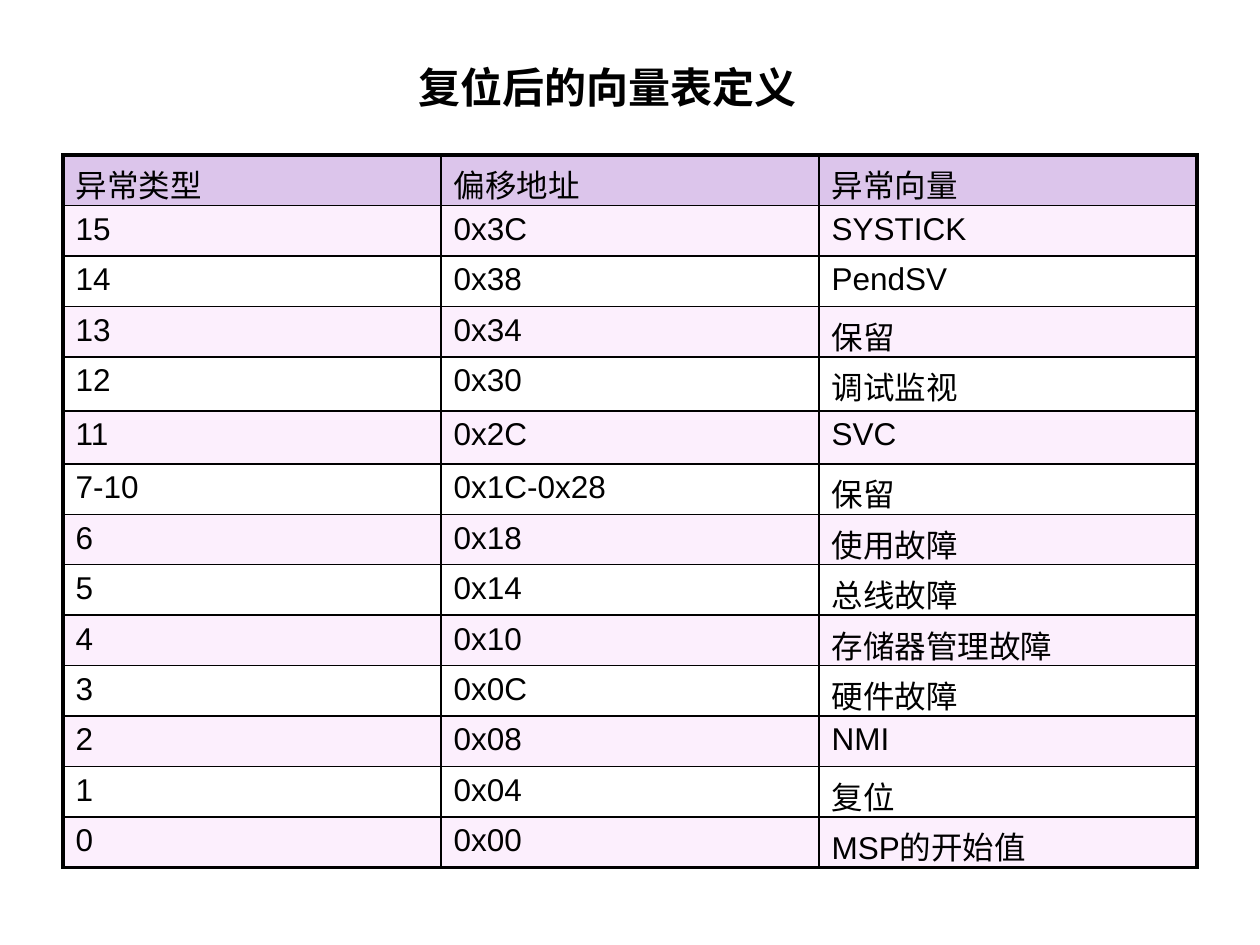
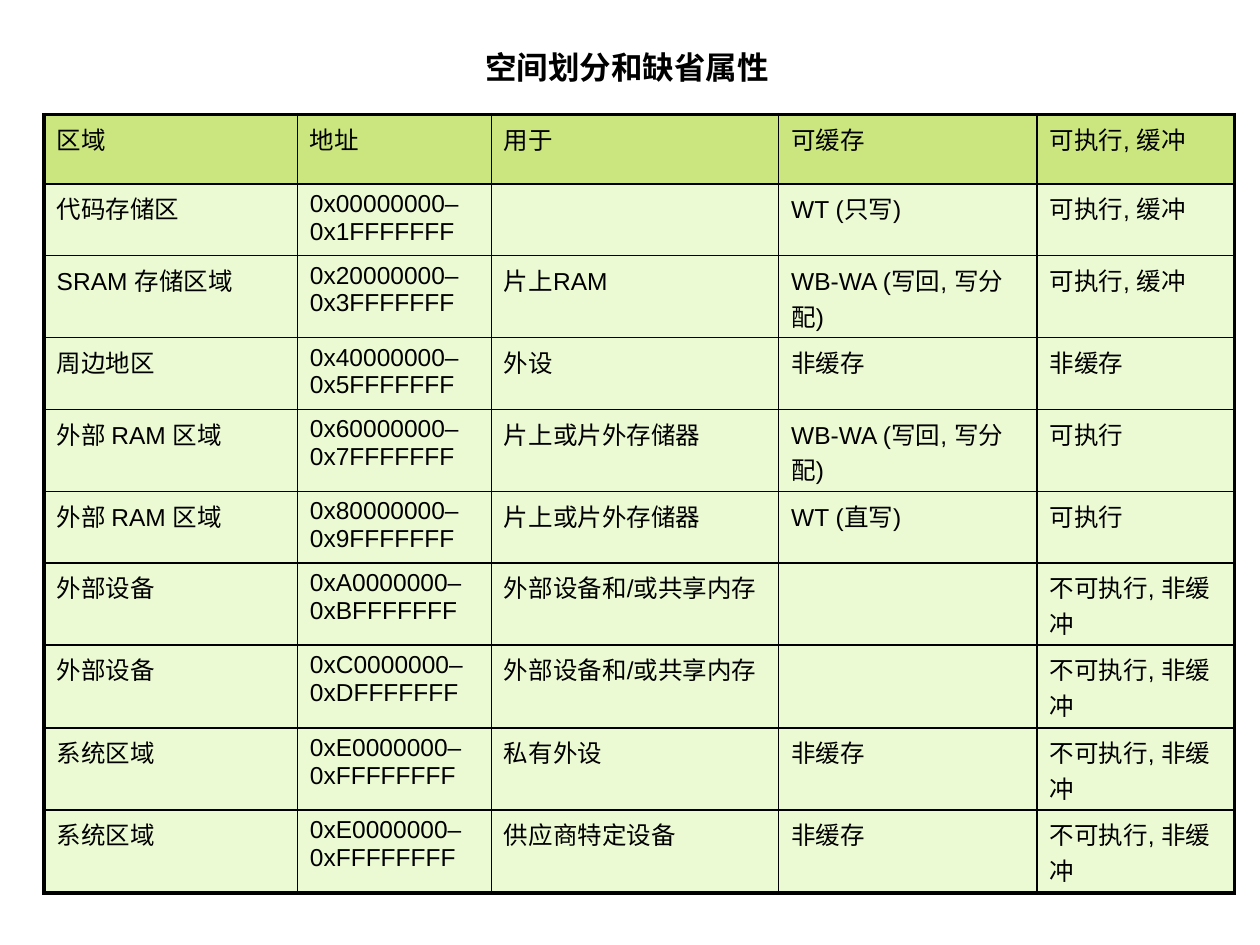
"""Builds two slides with reference tables for a microcontroller course."""
from dataclasses import dataclass

from lxml import etree
from pptx import Presentation
from pptx.dml.color import RGBColor
from pptx.enum.text import MSO_ANCHOR, MSO_AUTO_SIZE, PP_ALIGN
from pptx.oxml.ns import qn
from pptx.util import Inches, Pt

LEFT, CENTER = PP_ALIGN.LEFT, PP_ALIGN.CENTER
TOP = MSO_ANCHOR.TOP
FIT_SHAPE = MSO_AUTO_SIZE.SHAPE_TO_FIT_TEXT

SLIDE_WIDTH, SLIDE_HEIGHT = Inches(10), Inches(7.5)
GRID_COLUMNS, GRID_ROWS = 1000, 750
TITLE_ONLY_LAYOUT = 5

FONT = "Arial"
BLACK = "000000"
OUTER_LINE, INNER_LINE = 2.25, 1
FILL_OPACITY = 50
SPACE_BEFORE = 20

PURPLE_HEADER, PURPLE_BAND = "BB8CD8", "FBE0FC"
GREEN_HEADER, GREEN_BODY = "99CC00", "D8F6A8"


@dataclass(frozen=True)
class Box:
    """A rectangle in grid columns and rows."""
    left: int
    top: int
    width: int
    height: int


@dataclass(frozen=True)
class Title:
    """A slide title with its place and format."""
    text: str
    box: Box
    size: int
    alignment: PP_ALIGN


@dataclass(frozen=True)
class TableSpec:
    """A table whose body rows take their fills in turn."""
    left: int
    top: int
    column_widths: tuple
    row_heights: tuple
    size: int
    header_fill: str
    body_fills: tuple
    rows: tuple


VECTOR_TITLE = Title("复位后的向量表定义", Box(320, 44, 325, 50), 24, CENTER)
VECTOR_TABLE = TableSpec(
    left=50, top=123,
    column_widths=(300,) * 3,
    row_heights=(40,) * 4 + (43, 42) + (40,) * 8,
    size=18,
    header_fill=PURPLE_HEADER,
    body_fills=(PURPLE_BAND, None),
    rows=(
        ("异常类型", "偏移地址", "异常向量"),
        ("15", "0x3C", "SYSTICK"),
        ("14", "0x38", "PendSV"),
        ("13", "0x34", "保留"),
        ("12", "0x30", "调试监视"),
        ("11", "0x2C", "SVC"),
        ("7-10", "0x1C-0x28", "保留"),
        ("6", "0x18", "使用故障"),
        ("5", "0x14", "总线故障"),
        ("4", "0x10", "存储器管理故障"),
        ("3", "0x0C", "硬件故障"),
        ("2", "0x08", "NMI"),
        ("1", "0x04", "复位"),
        ("0", "0x00", "MSP的开始值"),
    ),
)

MEMORY_TITLE = Title("空间划分和缺省属性", Box(375, 33, 249, 40), 18, LEFT)
MEMORY_TABLE = TableSpec(
    left=35, top=91,
    column_widths=(201, 154, 228, 205, 157),
    row_heights=(55, 57, 65, 57, 65, 57, 65, 66, 65, 66),
    size=14,
    header_fill=GREEN_HEADER,
    body_fills=(GREEN_BODY,),
    rows=(
        ("区域", "地址", "用于", "可缓存", "可执行, 缓冲"),
        ("代码存储区", "0x00000000–0x1FFFFFFF", "", "WT (只写)", "可执行, 缓冲"),
        ("SRAM 存储区域", "0x20000000–0x3FFFFFFF", "片上RAM",
         "WB-WA (写回, 写分配)", "可执行, 缓冲"),
        ("周边地区", "0x40000000–0x5FFFFFFF", "外设", "非缓存", "非缓存"),
        ("外部 RAM 区域", "0x60000000–0x7FFFFFFF", "片上或片外存储器",
         "WB-WA (写回, 写分配)", "可执行"),
        ("外部 RAM 区域", "0x80000000–0x9FFFFFFF", "片上或片外存储器",
         "WT (直写)", "可执行"),
        ("外部设备", "0xA0000000–0xBFFFFFFF", "外部设备和/或共享内存", "",
         "不可执行, 非缓冲"),
        ("外部设备", "0xC0000000–0xDFFFFFFF", "外部设备和/或共享内存", "",
         "不可执行, 非缓冲"),
        ("系统区域", "0xE0000000–0xFFFFFFFF", "私有外设", "非缓存",
         "不可执行, 非缓冲"),
        ("系统区域", "0xE0000000–0xFFFFFFFF", "供应商特定设备", "非缓存",
         "不可执行, 非缓冲"),
    ),
)


def across(columns: int) -> int:
    """Return the length of a number of grid columns."""
    return round(SLIDE_WIDTH * columns / GRID_COLUMNS)


def down(rows: int) -> int:
    """Return the length of a number of grid rows."""
    return round(SLIDE_HEIGHT * rows / GRID_ROWS)


def paint(fill, color: str, opacity: int = 100) -> None:
    """Give a fill a solid colour and an opacity in percent."""
    fill.solid()
    fill.fore_color.rgb = RGBColor.from_string(color)
    if opacity < 100:
        color_element = fill._xPr.find(qn("a:solidFill"))[0]
        etree.SubElement(color_element, qn("a:alpha"), val=str(opacity * 1000))


def write(text_frame, text: str, *, size: int, bold: bool = False,
          alignment: PP_ALIGN = LEFT, space_before: int = 0) -> None:
    """Write one formatted paragraph; space_before is a percentage."""
    paragraph = text_frame.paragraphs[0]
    paragraph.alignment = alignment
    if space_before:
        spacing = etree.SubElement(paragraph._p.get_or_add_pPr(), qn("a:spcBef"))
        etree.SubElement(spacing, qn("a:spcPct"), val=str(space_before * 1000))
    run = paragraph.add_run()
    run.text = text
    run.font.name = FONT
    run.font.size = Pt(size)
    run.font.bold = bold
    paint(run.font.fill, BLACK)


def add_border(cell, side: str, width: float) -> None:
    """Draw one side of a cell."""
    line = etree.SubElement(cell._tc.get_or_add_tcPr(), qn(f"a:ln{side}"),
                            w=str(Pt(width)))
    solid = etree.SubElement(line, qn("a:solidFill"))
    etree.SubElement(solid, qn("a:srgbClr"), val=BLACK)


def add_title(slide, title: Title) -> None:
    """Place and format the slide's title placeholder."""
    shape = slide.shapes.title
    shape.left, shape.top = across(title.box.left), down(title.box.top)
    shape.width, shape.height = across(title.box.width), down(title.box.height)
    text_frame = shape.text_frame
    text_frame.word_wrap = False
    text_frame.auto_size = FIT_SHAPE
    text_frame.vertical_anchor = TOP
    write(text_frame, title.text, size=title.size, bold=True,
          alignment=title.alignment)


def add_grid_table(slide, spec: TableSpec) -> None:
    """Draw a table with a thick frame and thin inner lines."""
    row_count, column_count = len(spec.rows), len(spec.column_widths)
    table = slide.shapes.add_table(
        row_count, column_count, across(spec.left), down(spec.top),
        across(sum(spec.column_widths)), down(sum(spec.row_heights))).table
    table.first_row = table.horz_banding = False
    for column, width in zip(table.columns, spec.column_widths):
        column.width = across(width)
    for row, height in zip(table.rows, spec.row_heights):
        row.height = down(height)
    for row_index, texts in enumerate(spec.rows):
        fill = spec.body_fills[(row_index - 1) % len(spec.body_fills)]
        if row_index == 0:
            fill = spec.header_fill
        for column_index, text in enumerate(texts):
            cell = table.cell(row_index, column_index)
            outer_sides = {
                "L": column_index == 0,
                "R": column_index == column_count - 1,
                "T": row_index == 0,
                "B": row_index == row_count - 1,
            }
            for side, is_outer in outer_sides.items():
                add_border(cell, side, OUTER_LINE if is_outer else INNER_LINE)
            if fill:
                paint(cell.fill, fill, FILL_OPACITY)
            else:
                cell.fill.background()
            write(cell.text_frame, text, size=spec.size,
                  space_before=SPACE_BEFORE)


def main() -> None:
    """Build and save the presentation."""
    presentation = Presentation()
    presentation.slide_width, presentation.slide_height = SLIDE_WIDTH, SLIDE_HEIGHT
    layout = presentation.slide_layouts[TITLE_ONLY_LAYOUT]
    for title, table in ((VECTOR_TITLE, VECTOR_TABLE), (MEMORY_TITLE, MEMORY_TABLE)):
        slide = presentation.slides.add_slide(layout)
        add_title(slide, title)
        add_grid_table(slide, table)
    presentation.save("out.pptx")


if __name__ == "__main__":
    main()
